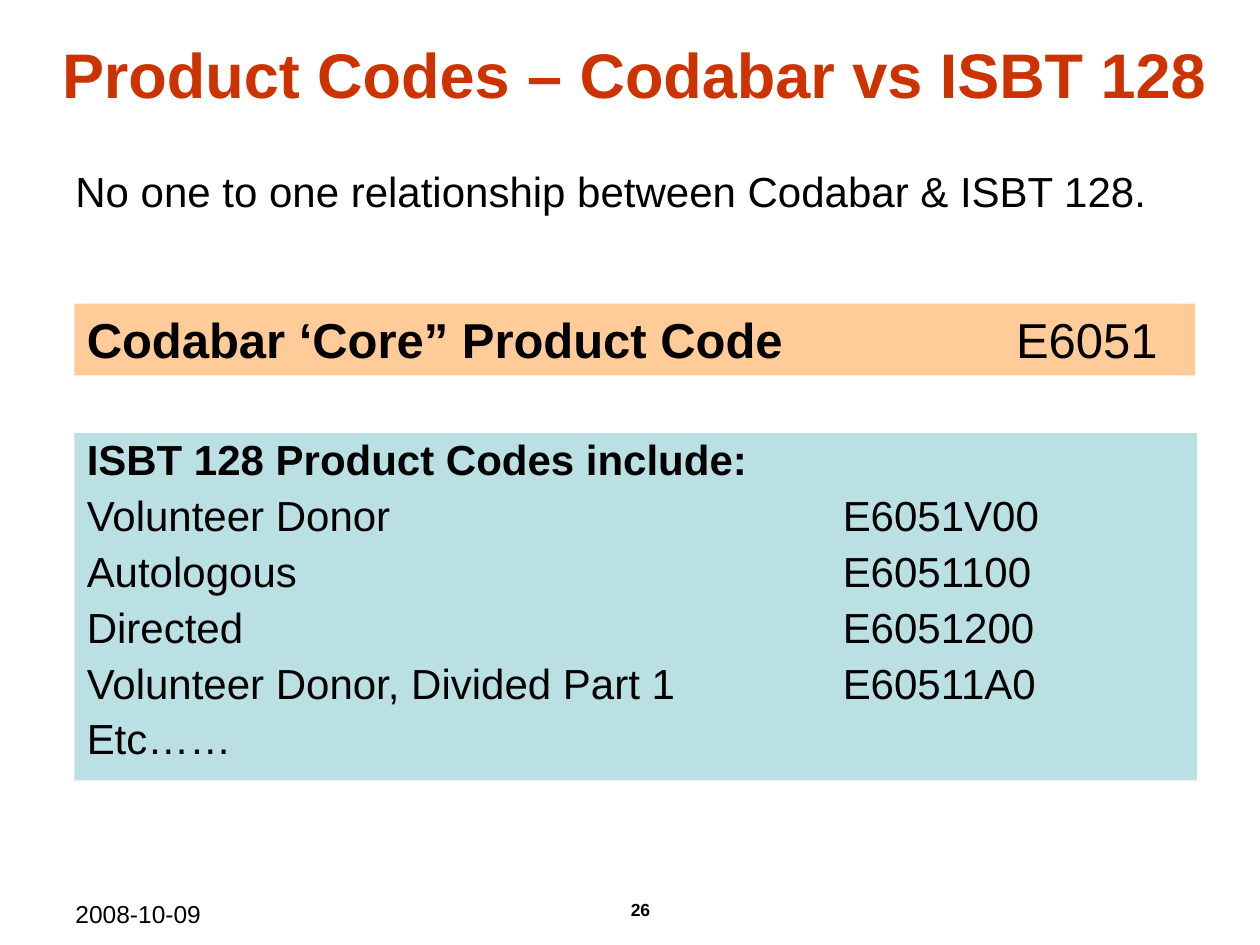
from pptx import Presentation
from pptx.util import Pt
from pptx.dml.color import RGBColor
from pptx.enum.shapes import MSO_SHAPE
from pptx.enum.text import PP_ALIGN as AL, MSO_ANCHOR as ANCHOR
from pptx.oxml.ns import qn
from lxml import etree

BLACK = RGBColor(0x00, 0x00, 0x00)
RED = RGBColor(0xCC, 0x33, 0x00)
PEACH = RGBColor(0xFF, 0xCC, 0x99)
TEAL = RGBColor(0xBB, 0xE0, 0xE3)

# Content: a line is a list of (text, bold) runs
TITLE = [[("Product Codes – Codabar vs ISBT 128", True)]]
INTRO = [[("No one to one relationship between Codabar & ISBT 128.", False)]]
CORE = [[("Codabar ‘Core” Product Code", True), ("\tE6051", False)]]
CODES = [
    ("Volunteer Donor", "E6051V00"),
    ("Autologous", "E6051100"),
    ("Directed", "E6051200"),
    ("Volunteer Donor, Divided Part 1", "E60511A0"),
]
ISBT = [[("ISBT 128 Product Codes include:", True)]]
ISBT += [[(f"{name}\t{code}", False)] for name, code in CODES]
ISBT += [[("Etc……", False)]]
DATE = [[("2008-10-09", False)]]
PAGE = [[("26", True)]]

prs = Presentation()
prs.slide_width, prs.slide_height = Pt(720), Pt(540)
s = prs.slides.add_slide(prs.slide_layouts[6])


def add_text(box, lines, size, color=BLACK, fill=None, align=AL.LEFT,
             anchor=ANCHOR.TOP, inset=(7.2, 3.6), before=0, spacing=1.0, tab=None):
    """Add a text box, or a filled rectangle, with one paragraph per line."""
    area = [Pt(v) for v in box]
    if fill is None:
        sp = s.shapes.add_textbox(*area)
    else:
        sp = s.shapes.add_shape(MSO_SHAPE.RECTANGLE, *area)
        sp.shadow.inherit = False
        sp.fill.solid()
        sp.fill.fore_color.rgb = fill
        sp.line.fill.background()
    tf = sp.text_frame
    tf.word_wrap = True
    tf.vertical_anchor = anchor
    tf.margin_left = tf.margin_right = Pt(inset[0])
    tf.margin_top = tf.margin_bottom = Pt(inset[1])
    for i, runs in enumerate(lines):
        p = tf.add_paragraph() if i else tf.paragraphs[0]
        p.alignment = align
        p.line_spacing = spacing
        p.space_before = Pt(before)
        if tab:
            stops = etree.SubElement(p._p.get_or_add_pPr(), qn("a:tabLst"))
            etree.SubElement(stops, qn("a:tab"), pos=str(Pt(tab)), algn="l")
        for text, bold in runs:
            r = p.add_run()
            r.text = text
            r.font.name = "Arial"
            r.font.size = Pt(size)
            r.font.bold = bold
            r.font.color.rgb = color
    return sp


# Footer
add_text((36, 510, 168, 19.5), DATE, 14)
add_text((282, 510, 168, 24), PAGE, 10, align=AL.CENTER)

# Title and statement
add_text((19.5, 6, 686, 72), TITLE, 36, RED, align=AL.CENTER,
         anchor=ANCHOR.MIDDLE, inset=(0, 0))
add_text((36, 94.5, 641.5, 73.5), INTRO, 24, before=6, spacing=0.9)

# Code panels
add_text((42.5, 247.5, 641.5, 198.5), ISBT, 24, fill=TEAL, before=6,
         spacing=0.9, tab=432)
add_text((42.5, 173.5, 640.5, 41), CORE, 28, fill=PEACH, before=7, tab=531)

prs.save("out.pptx")
